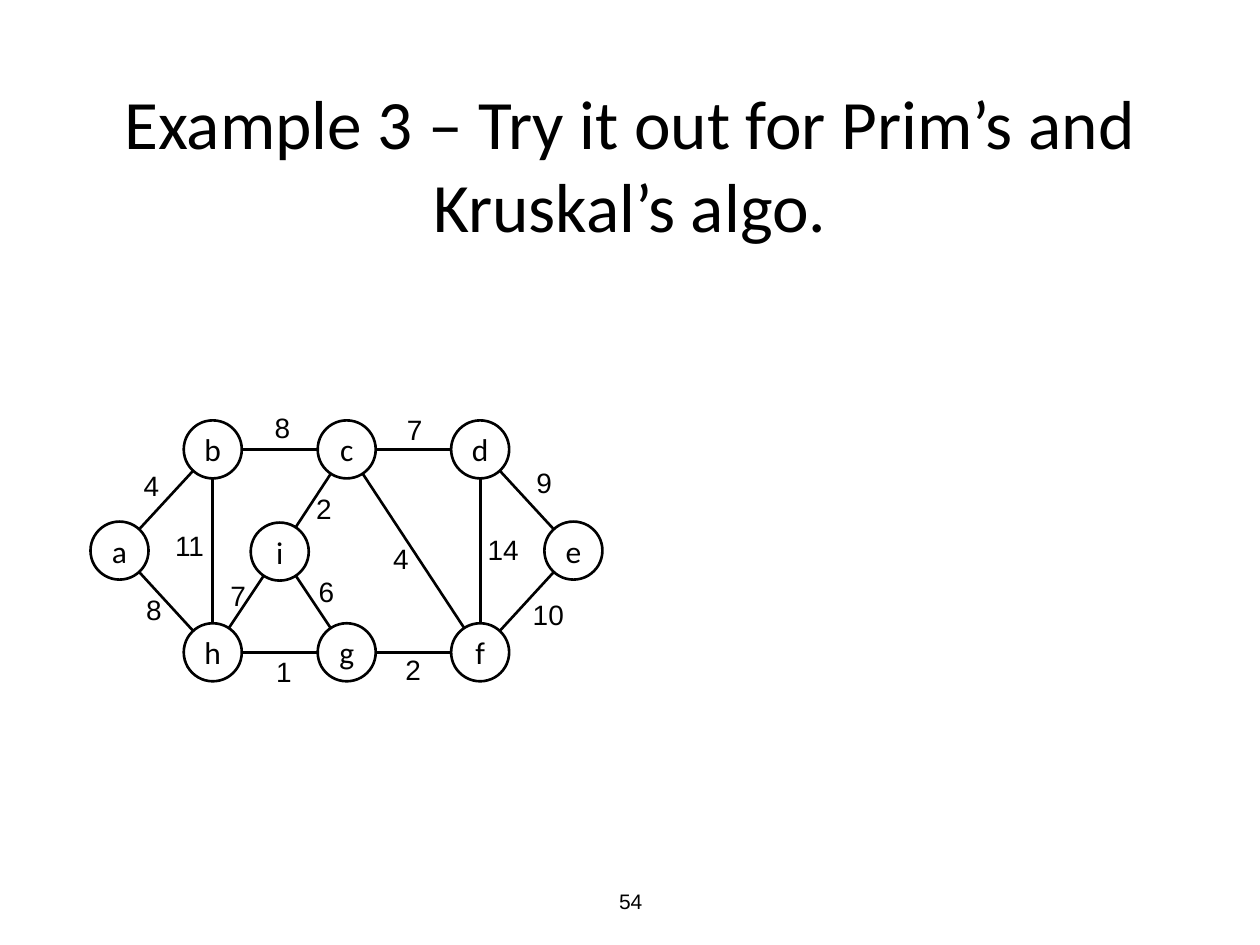
from math import hypot

from lxml.etree import SubElement
from pptx import Presentation
from pptx.dml.color import RGBColor
from pptx.enum.shapes import MSO_CONNECTOR, MSO_SHAPE
from pptx.enum.text import MSO_ANCHOR, MSO_AUTO_SIZE, PP_ALIGN
from pptx.oxml.ns import qn
from pptx.util import Cm, Pt

BLACK = RGBColor(0, 0, 0)
SIZE = 1.17
STROKE = Pt(1.5)

NODES = {
    "a": (0.58, 2.62), "b": (2.46, 0.58), "c": (5.16, 0.58),
    "d": (7.85, 0.58), "e": (9.73, 2.62), "f": (7.85, 4.67),
    "g": (5.16, 4.67), "h": (2.46, 4.67), "i": (3.81, 2.64),
}
EDGES = [
    ("a", "b", "4", 1.22, 1.31), ("b", "c", "8", 3.86, 0.14),
    ("c", "d", "7", 6.53, 0.19), ("a", "h", "8", 1.27, 3.82),
    ("b", "h", "11", 2.02, 2.53), ("h", "g", "1", 3.89, 5.07),
    ("g", "f", "2", 6.5, 5.02), ("h", "i", "7", 2.97, 3.52),
    ("c", "i", "2", 4.7, 1.77), ("c", "f", "4", 6.25, 2.78),
    ("d", "f", "14", 8.32, 2.6), ("d", "e", "9", 9.14, 1.26),
    ("f", "e", "10", 9.23, 3.92), ("i", "g", "6", 4.75, 3.44),
]


def write(frame, text, font, size, align=PP_ALIGN.CENTER, wrap=False):
    frame.word_wrap = wrap
    para = frame.paragraphs[0]
    para.alignment = align
    run = para.add_run()
    run.text = text
    run.font.name = font
    run.font.size = Pt(size)
    run.font.color.rgb = BLACK


def add_title(slide, left, top, width, height):
    title = slide.shapes.title
    title.left, title.top = Cm(left), Cm(top)
    title.width, title.height = Cm(width), Cm(height)
    frame = title.text_frame
    frame.auto_size = MSO_AUTO_SIZE.NONE
    frame.vertical_anchor = MSO_ANCHOR.MIDDLE
    write(frame, "Example 3 – Try it out for Prim’s and Kruskal’s algo.",
          "Calibri", 39.6, wrap=True)


def add_number(slide, left, top, width, height):
    box = slide.shapes.add_textbox(Cm(left), Cm(top), Cm(width), Cm(height))
    box.text_frame.vertical_anchor = MSO_ANCHOR.MIDDLE
    write(box.text_frame, "54", "Arial", 12, wrap=True)


def add_node(group, name, x, y):
    node = group.shapes.add_shape(
        MSO_SHAPE.OVAL, Cm(x - SIZE / 2), Cm(y - SIZE / 2), Cm(SIZE), Cm(SIZE))
    node.shadow.inherit = False
    node.fill.background()
    node.line.color.rgb = BLACK
    node.line.width = STROKE
    node.text_frame.vertical_anchor = MSO_ANCHOR.MIDDLE
    write(node.text_frame, name, "Calibri", 18)


def add_edge(group, start, end):
    (x1, y1), (x2, y2) = start, end
    part = SIZE / 2 / hypot(x2 - x1, y2 - y1)
    dx, dy = (x2 - x1) * part, (y2 - y1) * part
    edge = group.shapes.add_connector(
        MSO_CONNECTOR.STRAIGHT,
        Cm(x1 + dx), Cm(y1 + dy), Cm(x2 - dx), Cm(y2 - dy))
    edge.line.color.rgb = BLACK
    edge.line.width = STROKE
    SubElement(edge._element.spPr, qn("a:effectLst"))


def add_weight(group, text, x, y):
    width, height = (0.81 if len(text) == 1 else 1.14), 0.94
    box = group.shapes.add_textbox(
        Cm(x - width / 2), Cm(y - height / 2), Cm(width), Cm(height))
    box.text_frame.auto_size = MSO_AUTO_SIZE.SHAPE_TO_FIT_TEXT
    write(box.text_frame, text, "Arial", 16, PP_ALIGN.LEFT)


def add_graph(slide, left, top):
    group = slide.shapes.add_group_shape()
    spots = {name: (left + x, top + y) for name, (x, y) in NODES.items()}
    for name, (x, y) in spots.items():
        add_node(group, name, x, y)
    for start, end, *_ in EDGES:
        add_edge(group, spots[start], spots[end])
    for _, _, text, x, y in EDGES:
        add_weight(group, text, left + x, top + y)


def main():
    deck = Presentation()
    deck.slide_width, deck.slide_height = Cm(25.4), Cm(19.05)
    slide = deck.slides.add_slide(deck.slide_layouts[5])
    add_number(slide, 8.69, 17.65, 8.05, 1.02)
    add_title(slide, 1.9, 1.7, 21.6, 3.18)
    add_graph(slide, 1.83, 8.48)
    deck.save("out.pptx")


if __name__ == "__main__":
    main()
